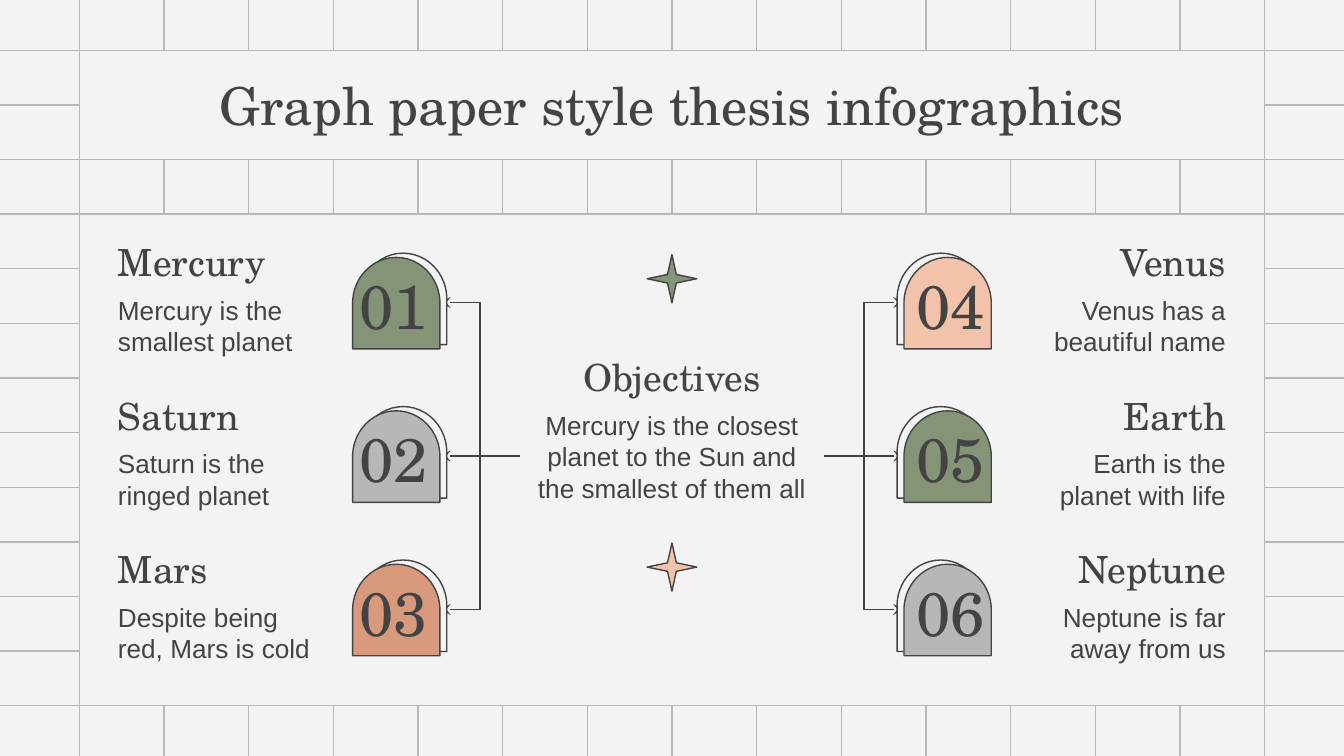
from dataclasses import dataclass

from lxml.etree import SubElement
from pptx import Presentation
from pptx.dml.color import RGBColor
from pptx.enum.shapes import MSO_CONNECTOR, MSO_SHAPE
from pptx.enum.text import MSO_ANCHOR, PP_ALIGN
from pptx.oxml.ns import qn
from pptx.util import Cm, Pt


@dataclass(frozen=True)
class Theme:
    paper: str = "F3F3F3"
    grid: str = "B7B7B7"
    ink: str = "434343"
    green: str = "859477"
    clay: str = "D9997D"
    peach: str = "F2C2AB"
    serif: str = "TeX Gyre Schola"
    sans: str = "Arial"
    title: int = 28
    number: int = 33
    heading: int = 20
    body: int = 14
    line: float = 0.75


THEME = Theme()
WIDTH, HEIGHT = 25.4, 14.29
CENTER = WIDTH / 2
GRID_LEFT, GRID_TOP = 1.5, 0.95
GRID_COLUMNS, GRID_ROWS = 14, 12
CELL_WIDTH = (WIDTH - 2 * GRID_LEFT) / GRID_COLUMNS
CELL_HEIGHT = (HEIGHT - 2 * GRID_TOP) / GRID_ROWS
PANEL_WIDTH = GRID_COLUMNS * CELL_WIDTH
ROW_PITCH = 2.9
FIRST_ARROW = 5.72

LEFT_ITEMS = [
    ("01", "Mercury", "Mercury is the smallest planet", THEME.green),
    ("02", "Saturn", "Saturn is the ringed planet", THEME.grid),
    ("03", "Mars", "Despite being red, Mars is cold", THEME.clay),
]
RIGHT_ITEMS = [
    ("04", "Venus", "Venus has a beautiful name", THEME.peach),
    ("05", "Earth", "Earth is the planet with life", THEME.green),
    ("06", "Neptune", "Neptune is far away from us", THEME.grid),
]


def color(code):
    return RGBColor.from_string(code)


def paint(shape, fill, line):
    shape.fill.solid()
    shape.fill.fore_color.rgb = color(fill)
    shape.line.color.rgb = color(line)
    shape.line.width = Pt(THEME.line)


def write(shape, text, size, font, align, anchor):
    frame = shape.text_frame
    frame.word_wrap = True
    frame.vertical_anchor = anchor
    frame.margin_left = frame.margin_right = Cm(0.25)
    frame.margin_top = frame.margin_bottom = Cm(0.25)
    para = frame.paragraphs[0]
    para.text = text
    para.alignment = align
    para.font.size = Pt(size)
    para.font.name = font
    para.font.color.rgb = color(THEME.ink)


def add_text(page, left, top, width, height, text, size, font, align, anchor):
    box = page.shapes.add_textbox(Cm(left), Cm(top), Cm(width), Cm(height))
    write(box, text, size, font, align, anchor)


def add_heading(page, left, top, width, text, align):
    add_text(page, left, top, width, 1.02, text,
             THEME.heading, THEME.serif, align, MSO_ANCHOR.BOTTOM)


def add_body(page, left, top, width, height, text, align):
    add_text(page, left, top, width, height, text,
             THEME.body, THEME.sans, align, MSO_ANCHOR.TOP)


def add_centered_shape(page, kind, x, y, width, height, fill, line=THEME.ink):
    shape = page.shapes.add_shape(kind, Cm(x - width / 2), Cm(y - height / 2),
                                  Cm(width), Cm(height))
    shape.shadow.inherit = False
    paint(shape, fill, line)
    return shape


def add_line(page, kind, x1, y1, x2, y2, line):
    connector = page.shapes.add_connector(kind, Cm(x1), Cm(y1), Cm(x2), Cm(y2))
    connector.line.color.rgb = color(line)
    connector.line.width = Pt(THEME.line)
    SubElement(connector.element.spPr, qn("a:effectLst"))
    return connector


def add_arrow(page, x1, y1, x2, y2):
    arrow = add_line(page, MSO_CONNECTOR.ELBOW, x1, y1, x2, y2, THEME.ink)
    SubElement(arrow.line._get_or_add_ln(), qn("a:tailEnd"), type="stealth")


def add_grid(page):
    for column in range(GRID_COLUMNS + 1):
        x = GRID_LEFT + column * CELL_WIDTH
        add_line(page, MSO_CONNECTOR.STRAIGHT, x, 0, x, HEIGHT, THEME.grid)
    for row in range(GRID_ROWS + 1):
        y = GRID_TOP + row * CELL_HEIGHT
        add_line(page, MSO_CONNECTOR.STRAIGHT, 0, y, WIDTH, y, THEME.grid)
    panel_height = 9 * CELL_HEIGHT
    panel_y = GRID_TOP + 3 * CELL_HEIGHT + panel_height / 2
    add_centered_shape(page, MSO_SHAPE.RECTANGLE, CENTER, panel_y,
                       PANEL_WIDTH, panel_height, THEME.paper, THEME.grid)


def place_title(page, text):
    title = page.shapes.title
    title.left, title.top = Cm(GRID_LEFT), Cm(GRID_TOP)
    title.width, title.height = Cm(PANEL_WIDTH), Cm(2 * CELL_HEIGHT)
    paint(title, THEME.paper, THEME.grid)
    write(title, text, THEME.title, THEME.serif, PP_ALIGN.CENTER, MSO_ANCHOR.MIDDLE)
    title.element.getparent().append(title.element)


def add_arch(page, x, y, fill):
    arch = add_centered_shape(page, MSO_SHAPE.FLOWCHART_DELAY, x, y, 1.73, 1.65, fill)
    arch.rotation = 270


def add_item(page, side, row, number, heading, body, fill):
    shift = row * ROW_PITCH
    text_width = 4.32
    text_left = CENTER + side * 8.56 - text_width / 2
    align = PP_ALIGN.LEFT if side < 0 else PP_ALIGN.RIGHT
    add_arch(page, CENTER + side * 5.08, 5.65 + shift, THEME.paper)
    add_arch(page, CENTER + side * 5.21, 5.73 + shift, fill)
    add_heading(page, text_left, 4.6 + shift, text_width, heading, align)
    add_body(page, text_left, 5.31 + shift, text_width, 1.63, body, align)
    add_text(page, CENTER + side * 5.26 - 1.14, 5.19 + shift, 2.28, 1.14, number,
             THEME.number, THEME.serif, PP_ALIGN.CENTER, MSO_ANCHOR.MIDDLE)


def add_objectives(page):
    width = 5.76
    left = CENTER - width / 2
    add_heading(page, left, 6.78, width, "Objectives", PP_ALIGN.CENTER)
    add_body(page, left, 7.49, width, 2.24,
             "Mercury is the closest planet to the Sun and the smallest of them all",
             PP_ALIGN.CENTER)


def add_star(page, y, fill):
    star = add_centered_shape(page, MSO_SHAPE.STAR_4_POINT, CENTER, y, 0.94, 0.91, fill)
    star.adjustments[0] = 0.125


def main():
    deck = Presentation()
    deck.slide_width, deck.slide_height = Cm(WIDTH), Cm(HEIGHT)
    page = deck.slides.add_slide(deck.slide_layouts.get_by_name("Title Only"))
    page.background.fill.solid()
    page.background.fill.fore_color.rgb = color(THEME.paper)
    add_grid(page)
    place_title(page, "Graph paper style thesis infographics")
    add_objectives(page)
    for side, items in ((-1, LEFT_ITEMS), (1, RIGHT_ITEMS)):
        for row, item in enumerate(items):
            add_arrow(page, CENTER + side * 2.87, FIRST_ARROW + ROW_PITCH,
                      CENTER + side * 4.39, FIRST_ARROW + row * ROW_PITCH)
        for row, item in enumerate(items):
            add_item(page, side, row, *item)
    add_star(page, 5.27, THEME.green)
    add_star(page, 10.72, THEME.peach)
    deck.save("out.pptx")


if __name__ == "__main__":
    main()
